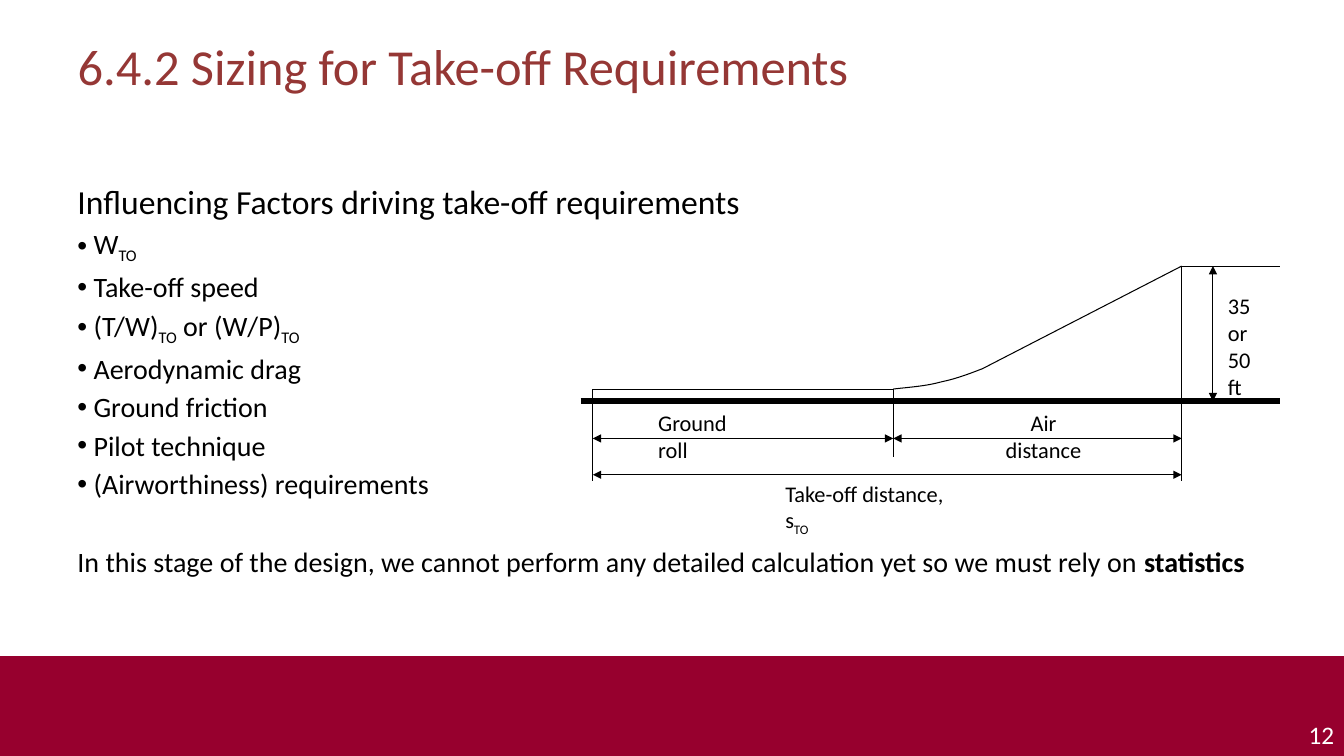
from dataclasses import dataclass

from lxml.etree import SubElement
from pptx import Presentation
from pptx.dml.color import RGBColor
from pptx.enum.shapes import MSO_CONNECTOR, MSO_SHAPE
from pptx.enum.text import MSO_ANCHOR, PP_ALIGN
from pptx.oxml.ns import qn
from pptx.util import Inches, Pt


@dataclass(frozen=True)
class Theme:
    font: str = "Calibri"
    ink: RGBColor = RGBColor(0, 0, 0)
    title: RGBColor = RGBColor(0x95, 0x37, 0x35)
    band: RGBColor = RGBColor(0x97, 0x00, 0x2E)
    white: RGBColor = RGBColor(0xFF, 0xFF, 0xFF)
    title_pt: float = 36
    lead_pt: float = 24
    body_pt: float = 20
    number_pt: float = 18
    label_pt: float = 16
    thin: float = 0.75
    runway: float = 4.5


class SlideBuilder:
    def __init__(self, prs, theme):
        self.theme = theme
        self.s = prs.slides.add_slide(prs.slide_layouts[5])

    def add_text(self, p, text, size, color=None, **extra):
        """Add runs; text between underscores is subscript."""
        fmt = {"name": self.theme.font, "size": Pt(size), **extra}
        for i, part in enumerate(text.split("_")):
            if not part:
                continue
            r = p.add_run()
            r.text = part
            for key, value in fmt.items():
                setattr(r.font, key, value)
            r.font.color.rgb = color or self.theme.ink
            if i % 2:
                r._r.get_or_add_rPr().set("baseline", "-25000")

    def title(self, text, left, top, width, height):
        sp = self.s.shapes.title
        sp.left, sp.top, sp.width, sp.height = map(Inches, (left, top, width, height))
        tf = sp.text_frame
        tf.vertical_anchor = MSO_ANCHOR.TOP
        p = tf.paragraphs[0]
        p.alignment = PP_ALIGN.LEFT
        self.add_text(p, text, self.theme.title_pt, self.theme.title)

    def box(self, left, top, width, height):
        tf = self.s.shapes.add_textbox(*map(Inches, (left, top, width, height))).text_frame
        tf.word_wrap = True
        return tf

    def label(self, lines, left, top, width, height, align=PP_ALIGN.LEFT, size=None, color=None):
        tf = self.box(left, top, width, height)
        for i, line in enumerate(lines):
            p = tf.add_paragraph() if i else tf.paragraphs[0]
            p.alignment = align
            self.add_text(p, line, size or self.theme.label_pt, color)

    def bullet(self, p):
        pPr = p._p.get_or_add_pPr()
        pPr.set("marL", str(Inches(0.16)))
        pPr.set("indent", str(-Inches(0.16)))
        SubElement(pPr, qn("a:buFont"), typeface="Arial")
        SubElement(pPr, qn("a:buChar"), char="•")

    def band(self, left, top, width, height):
        sp = self.s.shapes.add_shape(MSO_SHAPE.RECTANGLE, *map(Inches, (left, top, width, height)))
        sp.shadow.inherit = False
        sp.fill.solid()
        sp.fill.fore_color.rgb = self.theme.band
        sp.line.fill.background()

    def line(self, x1, y1, x2, y2, weight=None, arrows=False):
        c = self.s.shapes.add_connector(MSO_CONNECTOR.STRAIGHT, *map(Inches, (x1, y1, x2, y2)))
        c.line.color.rgb = self.theme.ink
        c.line.width = Pt(weight or self.theme.thin)
        if arrows:
            ln = c._element.spPr.find(qn("a:ln"))
            for end in ("a:headEnd", "a:tailEnd"):
                SubElement(ln, qn(end), type="triangle")
        SubElement(c._element.spPr, qn("a:effectLst"))

    def curve(self, p0, p1, p2, p3, steps=16):
        """Draw a cubic curve through evenly sampled points."""
        points = []
        for i in range(steps + 1):
            t = i / steps
            weights = ((1 - t) ** 3, 3 * t * (1 - t) ** 2, 3 * t * t * (1 - t), t ** 3)
            points.append(tuple(
                Inches(sum(w * v for w, v in zip(weights, axis)))
                for axis in zip(p0, p1, p2, p3)))
        fb = self.s.shapes.build_freeform(*points[0])
        fb.add_line_segments(points[1:], close=False)
        sp = fb.convert_to_shape()
        sp.shadow.inherit = False
        sp.fill.background()
        sp.line.color.rgb = self.theme.ink
        sp.line.width = Pt(self.theme.thin)


FACTORS = ["W_TO_", "Take-off speed", "(T/W)_TO_ or (W/P)_TO_", "Aerodynamic drag",
           "Ground friction", "Pilot technique", "(Airworthiness) requirements"]


def main():
    prs = Presentation()
    prs.slide_width, prs.slide_height = Inches(13.33), Inches(7.5)
    theme = Theme()
    b = SlideBuilder(prs, theme)

    # Footer band, page number and title
    b.band(0, 6.51, 13.33, 0.99)
    b.label(["12"], 12.63, 7.09, 0.7, 0.4, PP_ALIGN.RIGHT, theme.number_pt, theme.white)
    b.title("6.4.2 Sizing for Take-off Requirements", 0.67, 0.3, 12, 1.25)

    # Influencing factors and conclusion
    tf = b.box(0.67, 1.75, 12, 4.49)
    b.add_text(tf.paragraphs[0], "Influencing Factors driving take-off requirements",
               theme.lead_pt)
    for factor in FACTORS:
        p = tf.add_paragraph()
        p.space_before = Pt(3.5)
        b.bullet(p)
        b.add_text(p, factor, theme.body_pt)
    p = tf.add_paragraph()
    p.space_before = Pt(31.5)
    b.add_text(p, "In this stage of the design, we cannot perform any detailed calculation yet "
                  "so we must rely on ", theme.body_pt)
    b.add_text(p, "statistics", theme.body_pt, bold=True)

    # Runway and flight path
    start, lift_off, climb, obstacle, end = 5.88, 8.86, 9.74, 11.72, 12.7
    ground, wheels, climb_y, screen = 3.98, 3.86, 3.66, 2.64
    roll_y, total_y, height_x = 4.35, 4.71, 12.03
    b.line(5.76, ground, end, ground, theme.runway)
    b.line(start, wheels, lift_off, wheels)
    b.curve((lift_off, wheels), (9.03, 3.84), (9.19, 3.83), (9.33, 3.79))
    b.curve((9.33, 3.79), (9.48, 3.76), (9.61, 3.71), (climb, climb_y))
    b.line(climb, climb_y, obstacle, screen)
    b.line(obstacle, screen, end, screen)

    # Extension lines
    for x, top, bottom in ((start, wheels, 4.77), (lift_off, wheels, 4.53),
                           (obstacle, screen, 4.77)):
        b.line(x, top, x, bottom)

    # Dimension arrows
    for ends in ((start, roll_y, lift_off, roll_y), (lift_off, roll_y, obstacle, roll_y),
                 (start, total_y, obstacle, total_y), (height_x, screen, height_x, ground)):
        b.line(*ends, arrows=True)

    # Dimension labels
    b.label(["Ground roll"], 6.43, 4.01, 1.08, 0.32)
    b.label(["Air distance"], 9.8, 4.01, 1.1, 0.32, PP_ALIGN.CENTER)
    b.label(["Take-off distance, s_TO_"], 7.69, 4.71, 1.83, 0.32)
    b.label(["35 or", "50 ft"], 12.08, 2.85, 0.59, 0.56)

    prs.save("out.pptx")


if __name__ == "__main__":
    main()
